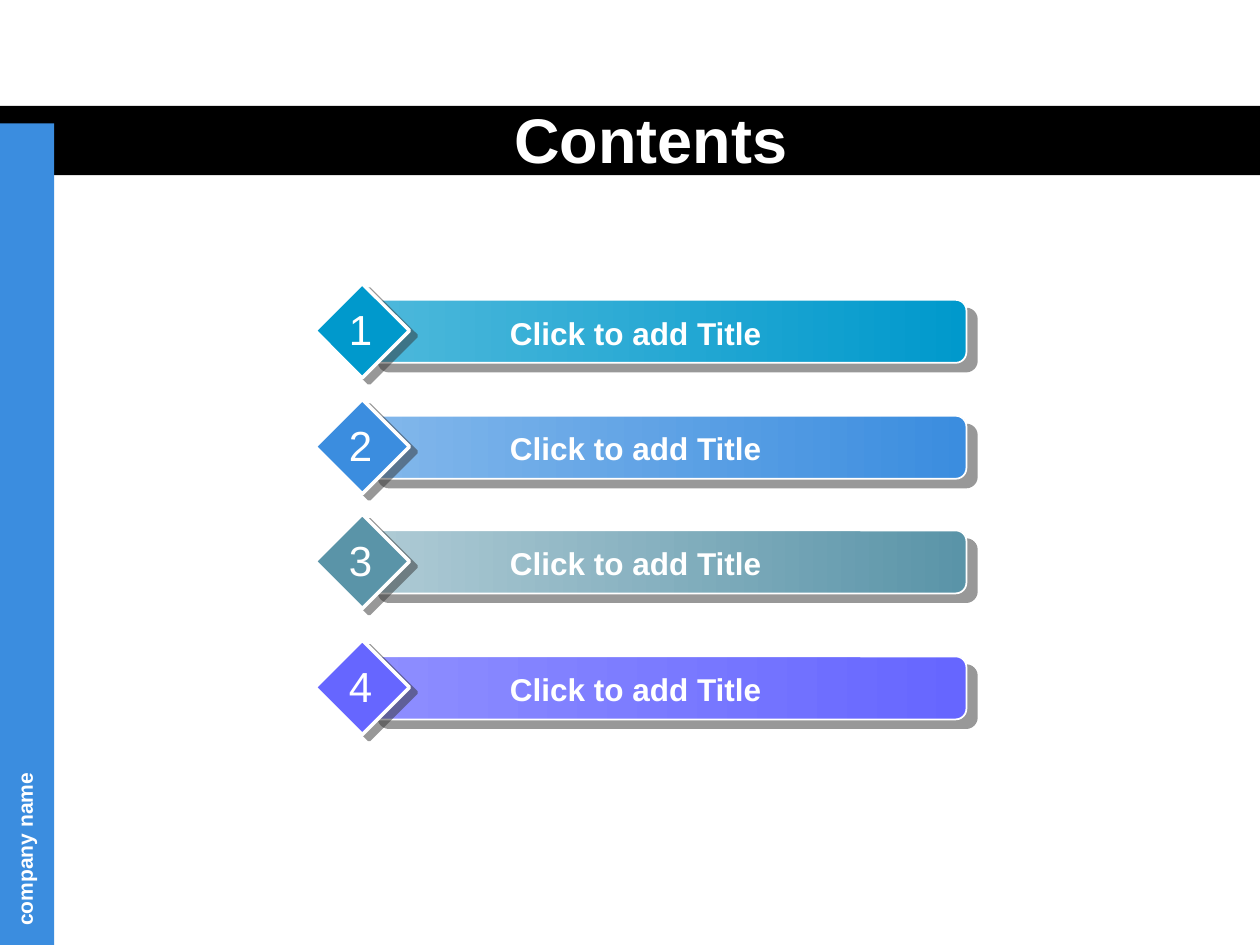
"""Build a contents slide with four numbered title bars."""
import pptx
import pptx.util
import pptx.dml.color
import pptx.enum.shapes
import pptx.enum.text
import pptx.oxml.ns
from lxml import etree

Inches, Pt = pptx.util.Inches, pptx.util.Pt
RGBColor = pptx.dml.color.RGBColor
SHAPE = pptx.enum.shapes.MSO_SHAPE
ALIGN = pptx.enum.text.PP_ALIGN
ANCHOR = pptx.enum.text.MSO_ANCHOR
AUTO = pptx.enum.text.MSO_AUTO_SIZE
qn = pptx.oxml.ns.qn

WHITE = RGBColor(0xFF, 0xFF, 0xFF)
BLACK = RGBColor(0x00, 0x00, 0x00)
CYAN = RGBColor(0x00, 0x99, 0xCC)
LIGHT_CYAN = RGBColor(0x4D, 0xB8, 0xDB)
BLUE = RGBColor(0x3B, 0x8D, 0xDF)
LIGHT_BLUE = RGBColor(0x82, 0xB7, 0xEB)
TEAL = RGBColor(0x5A, 0x94, 0xA8)
LIGHT_TEAL = RGBColor(0xAF, 0xCB, 0xD5)
VIOLET = RGBColor(0x66, 0x66, 0xFF)
LIGHT_VIOLET = RGBColor(0x8E, 0x8E, 0xFF)
SHADOW = RGBColor(0x33, 0x33, 0x33)

TITLE = "Contents"
COMPANY = "company name"
ITEMS = [
    ("Click to add Title", 2.25, CYAN, LIGHT_CYAN),
    ("Click to add Title", 3.17, BLUE, LIGHT_BLUE),
    ("Click to add Title", 4.08, TEAL, LIGHT_TEAL),
    ("Click to add Title", 5.08, VIOLET, LIGHT_VIOLET),
]


def add_shape(shapes, kind, box, fill, line=None):
    sp = shapes.add_shape(kind, *map(Inches, box))
    sp.shadow.inherit = False
    sp.fill.solid()
    sp.fill.fore_color.rgb = fill
    if line:
        sp.line.color.rgb = WHITE
        sp.line.width = Pt(line)
    else:
        sp.line.fill.background()
    return sp


def add_shadow(sp, distance, angle):
    effects = sp._element.spPr.find(qn("a:effectLst"))
    shadow = etree.SubElement(effects, qn("a:outerShdw"), dist=str(Pt(distance)),
                              dir=str(angle * 60000), algn="ctr", rotWithShape="0")
    color = etree.SubElement(shadow, qn("a:srgbClr"), val=str(SHADOW))
    etree.SubElement(color, qn("a:alpha"), val="50000")


def add_text(shapes, box, text, size, bold=True, align=ALIGN.CENTER, wrap=True):
    sp = shapes.add_textbox(*map(Inches, box))
    tf = sp.text_frame
    tf.word_wrap = wrap
    tf.auto_size = AUTO.SHAPE_TO_FIT_TEXT
    p = tf.paragraphs[0]
    p.alignment = align
    r = p.add_run()
    r.text = text
    r.font.name = "Arial"
    r.font.size = Pt(size)
    r.font.bold = bold
    r.font.color.rgb = WHITE
    return sp


def add_item(s, number, text, top, color, light):
    shapes = s.shapes.add_group_shape().shapes
    bar = add_shape(shapes, SHAPE.ROUNDED_RECTANGLE, (2.92, top + 0.13, 4.75, 0.5), color, 1)
    bar.adjustments[0] = 0.17
    bar.fill.gradient()
    bar.fill.gradient_angle = 0
    for stop, rgb in zip(bar.fill.gradient_stops, (light, color)):
        stop.color.rgb = rgb
    add_shadow(bar, 7.8, 40)
    diamond = add_shape(shapes, SHAPE.DIAMOND, (2.5, top, 0.75, 0.75), color, 2)
    add_shadow(diamond, 5, 37)
    add_text(shapes, (3.17, top + 0.19, 3.75, 0.4), text, 18)
    add_text(shapes, (2.67, top + 0.11, 0.38, 0.5), str(number), 24, bold=False, wrap=False)


def main():
    prs = pptx.Presentation()
    prs.slide_width, prs.slide_height = Inches(10), Inches(7.5)
    s = prs.slides.add_slide(prs.slide_layouts[6])
    add_shape(s.shapes, SHAPE.RECTANGLE, (0, 0.84, 10, 0.55), BLACK)
    add_shape(s.shapes, SHAPE.RECTANGLE, (0, 0.98, 0.43, 6.52), BLUE)
    company = add_text(s.shapes, (-1.52, 5.58, 3.43, 0.3), COMPANY, 12, align=ALIGN.LEFT)
    company.rotation = 270
    title = add_text(s.shapes, (0.33, 0.83, 9.67, 0.53), TITLE, 36)
    title.text_frame.auto_size = AUTO.NONE
    title.text_frame.vertical_anchor = ANCHOR.MIDDLE
    for number, item in enumerate(ITEMS, 1):
        add_item(s, number, *item)
    prs.save("out.pptx")


if __name__ == "__main__":
    main()
